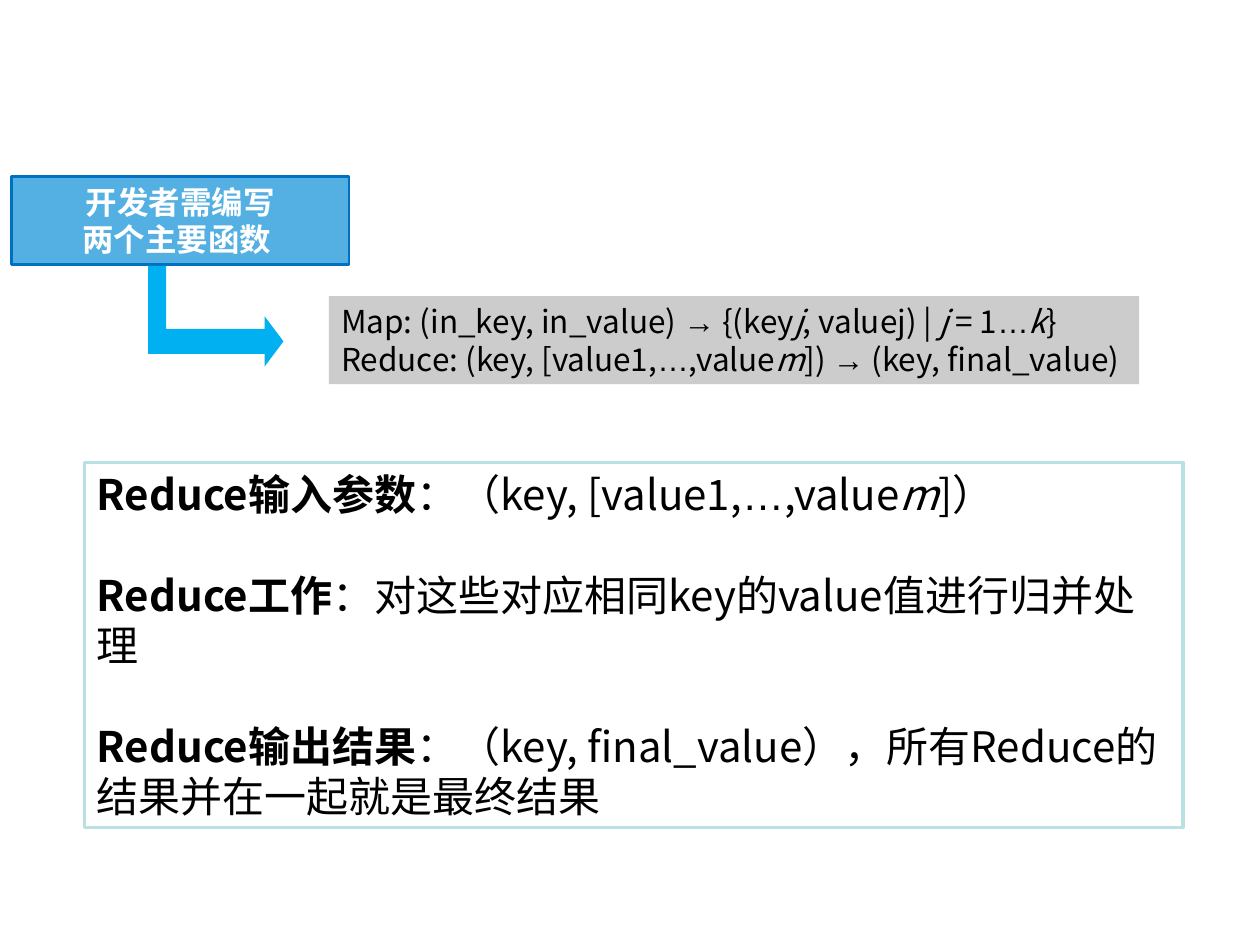
from lxml import etree
from pptx import Presentation
from pptx import util as u
from pptx.dml.color import RGBColor
from pptx.enum import shapes, text
from pptx.oxml.ns import qn

BLACK = RGBColor(0x00, 0x00, 0x00)
WHITE = RGBColor(0xFF, 0xFF, 0xFF)
GRAY = RGBColor(0xCC, 0xCC, 0xCC)
SKY = RGBColor(0x54, 0xB0, 0xE2)
BLUE = RGBColor(0x00, 0x70, 0xC0)
CYAN = RGBColor(0x00, 0xB0, 0xF0)
PALE = RGBColor(0xBB, 0xE0, 0xE3)
NOTO, ARIAL = "Noto Sans CJK SC", "Arial"

# Styles of runs: plain, bold, italic, symbol
P, B, I, S = {}, {"bold": True}, {"italic": True}, {"name": ARIAL}

# Content: each box holds paragraphs, each paragraph holds (text, style) runs
BOXES = [
    {"at": (187.9, 169.2, 463, 50.4), "fill": GRAY, "line": None,
     "frame": {"word_wrap": False, "vertical_anchor": text.MSO_ANCHOR.MIDDLE},
     "para": {"alignment": text.PP_ALIGN.LEFT}, "gap": 0,
     "font": {"name": NOTO, "size": u.Pt(18)}, "color": BLACK,
     "paras": [
         [("Map: (in_key, in_value) ", P), ("→", S), (" {(key", P), ("j", I),
          (", valuej) | ", P), ("j", I), (" = 1", P), ("…", S), ("k", I),
          ("}", P)],
         [("Reduce: (key, [value1,", P), ("…", S), (",value", P), ("m", I),
          ("]) ", P), ("→", S), (" (key, final_value)", P)]]},
    {"at": (6.5, 100.8, 193, 50.4), "fill": SKY, "line": (BLUE, 1.5),
     "frame": {"word_wrap": True, "vertical_anchor": text.MSO_ANCHOR.MIDDLE},
     "para": {"alignment": text.PP_ALIGN.CENTER}, "gap": 0,
     "font": {"name": ARIAL, "size": u.Pt(18), "bold": True}, "color": WHITE,
     "paras": [[("开发者需编写", P)], [("两个主要函数 ", P)]]},
    {"at": (48.2, 264.2, 627.8, 208.8), "fill": WHITE, "line": (PALE, 2),
     "frame": {"word_wrap": True, "vertical_anchor": text.MSO_ANCHOR.TOP},
     "para": {"alignment": text.PP_ALIGN.LEFT}, "gap": 28.8,
     "font": {"name": NOTO, "size": u.Pt(24)}, "color": BLACK,
     "paras": [
         [("Reduce输入参数", B), ("：（key, [value1,", P), ("…", S),
          (",value", P), ("m", I), ("]）", P)],
         [("Reduce工作", B), ("：对这些对应相同key的value值进行归并处理", P)],
         [("Reduce输出结果", B),
          ("：（key, final_value），所有Reduce的结果并在一起就是最终结果", P)]]},
]

# Bent arrow from the function box to the signatures
ARROW = [(95, 151.9), (95, 187.9), (151.2, 187.9), (151.2, 180.7), (162, 195.1),
         (151.2, 209.5), (151.2, 202.3), (84.7, 202.3), (84.7, 151.9)]


def put(obj, vals):
    for key, val in vals.items():
        setattr(obj, key, val)


def paint(shape, fill, line):
    shape.shadow.inherit = False
    shape.fill.solid()
    shape.fill.fore_color.rgb = fill
    if line:
        shape.line.color.rgb, shape.line.width = line[0], u.Pt(line[1])
    else:
        shape.line.fill.background()


def add_run(para, words, style, box):
    run = para.add_run()
    run.text = words
    put(run.font, {**box["font"], **style})
    run.font.color.rgb = box["color"]
    east = etree.SubElement(run.font._element, qn("a:ea"))
    east.set("typeface", NOTO)


def add_box(slide, box):
    shape = slide.shapes.add_shape(shapes.MSO_SHAPE.RECTANGLE,
                                   *map(u.Pt, box["at"]))
    paint(shape, box["fill"], box["line"])
    frame = shape.text_frame
    put(frame, {**box["frame"],
                "auto_size": text.MSO_AUTO_SIZE.SHAPE_TO_FIT_TEXT})
    for num, runs in enumerate(box["paras"]):
        para = frame.add_paragraph() if num else frame.paragraphs[0]
        put(para, box["para"])
        if num and box["gap"]:
            para.space_before = u.Pt(box["gap"])
        for words, style in runs:
            add_run(para, words, style, box)


def add_arrow(slide):
    first, *rest = [(u.Pt(x), u.Pt(y)) for x, y in ARROW]
    pen = slide.shapes.build_freeform(*first)
    pen.add_line_segments(rest, close=True)
    paint(pen.convert_to_shape(), CYAN, None)


def main():
    deck = Presentation()
    deck.slide_width, deck.slide_height = u.Pt(720), u.Pt(540)
    slide = deck.slides.add_slide(deck.slide_layouts[6])
    sign, func, notes = BOXES
    add_box(slide, sign)
    add_box(slide, func)
    add_arrow(slide)
    add_box(slide, notes)
    deck.save("out.pptx")


if __name__ == "__main__":
    main()
